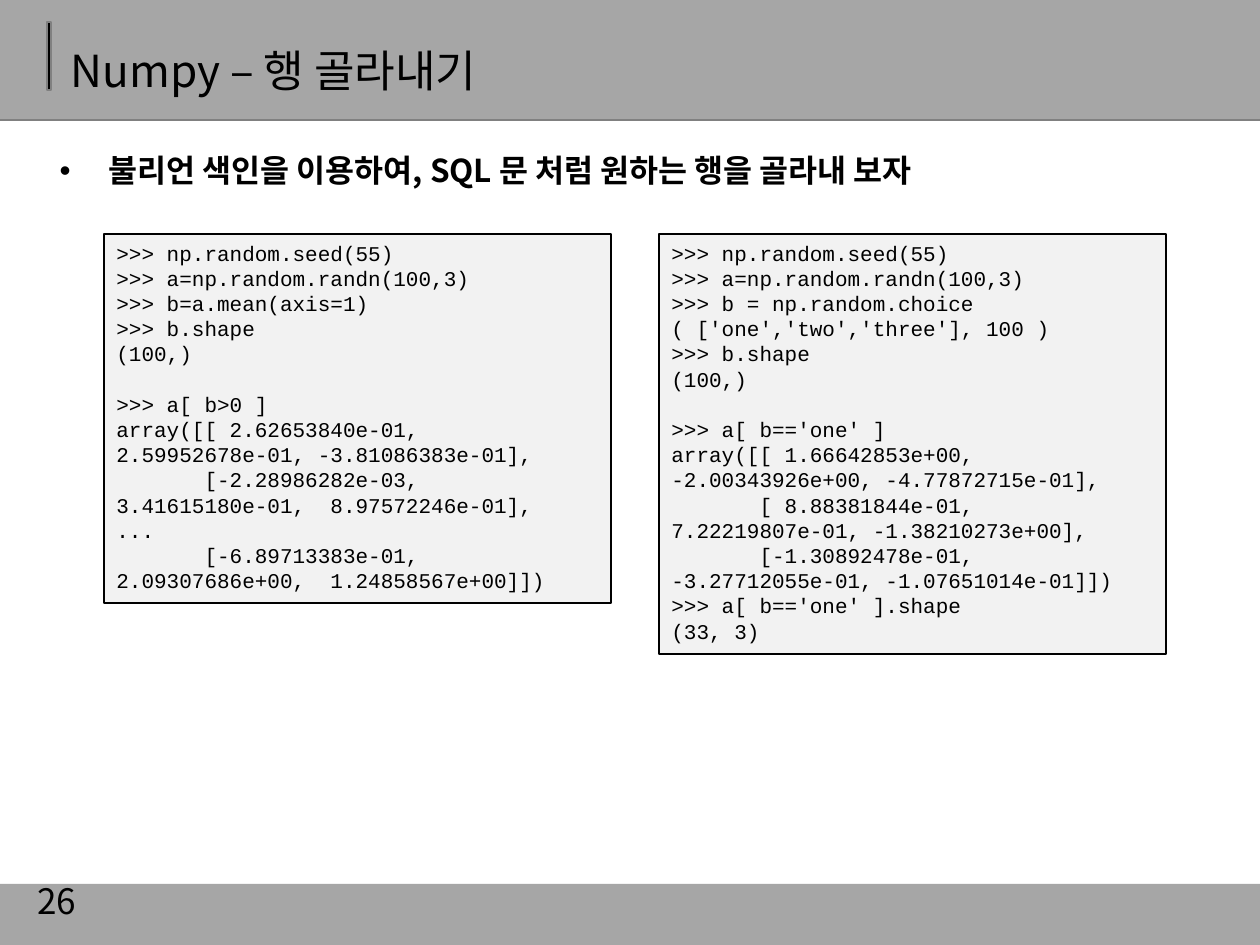
from lxml import etree
from pptx import Presentation
from pptx.dml.color import RGBColor
from pptx.enum.shapes import MSO_CONNECTOR, MSO_SHAPE
from pptx.enum.text import MSO_ANCHOR, MSO_AUTO_SIZE, PP_ALIGN
from pptx.oxml.ns import qn
from pptx.util import Emu, Pt

RECTANGLE = MSO_SHAPE.RECTANGLE
STRAIGHT = MSO_CONNECTOR.STRAIGHT
TOP, MIDDLE = MSO_ANCHOR.TOP, MSO_ANCHOR.MIDDLE
NO_AUTOFIT = MSO_AUTO_SIZE.NONE
LEFT = PP_ALIGN.LEFT

BLACK = RGBColor(0x00, 0x00, 0x00)
BAND_GRAY = RGBColor(0xA6, 0xA6, 0xA6)
RULE_GRAY = RGBColor(0x80, 0x80, 0x80)
CODE_GRAY = RGBColor(0xF2, 0xF2, 0xF2)

SANS, MONO = "Noto Sans CJK KR", "Courier New"
EMU_PER_PX = 914400 / 126
PAGE_WIDTH, PAGE_HEIGHT = 1260, 945
CODE_LINE = 14.4

MEAN_CODE = """>>> np.random.seed(55)
>>> a=np.random.randn(100,3)
>>> b=a.mean(axis=1)
>>> b.shape
(100,)

>>> a[ b>0 ]
array([[ 2.62653840e-01,  2.59952678e-01, -3.81086383e-01],
       [-2.28986282e-03,  3.41615180e-01,  8.97572246e-01],
...
       [-6.89713383e-01,  2.09307686e+00,  1.24858567e+00]])"""

CHOICE_CODE = """>>> np.random.seed(55)
>>> a=np.random.randn(100,3)
>>> b = np.random.choice ( ['one','two','three'], 100 )
>>> b.shape
(100,)

>>> a[ b=='one' ]
array([[ 1.66642853e+00, -2.00343926e+00, -4.77872715e-01],
       [ 8.88381844e-01,  7.22219807e-01, -1.38210273e+00],
       [-1.30892478e-01, -3.27712055e-01, -1.07651014e-01]])
>>> a[ b=='one' ].shape
(33, 3)"""


def px(length):
    return Emu(round(length * EMU_PER_PX))


def write(frame, text, *, size, font=SANS, bold=False, anchor=TOP,
          line_spacing=1.0, hanging=0):
    """Fill a frame line by line; an empty line becomes space before the next."""
    frame.word_wrap = True
    frame.auto_size = NO_AUTOFIT
    frame.vertical_anchor = anchor
    paragraph, gap = frame.paragraphs[0], 0
    for number, line in enumerate(text.split("\n")):
        if not line:
            gap += CODE_LINE
            continue
        if number:
            paragraph = frame.add_paragraph()
        paragraph.alignment = LEFT
        paragraph.line_spacing = line_spacing
        paragraph.space_before = Pt(gap)
        gap = 0
        if hanging:
            properties = paragraph._p.get_or_add_pPr()
            properties.set("marL", str(px(hanging)))
            properties.set("indent", str(-px(hanging)))
            etree.SubElement(properties, qn("a:buChar")).set("char", "•")
        run = paragraph.add_run()
        run.text = line
        run.font.size = Pt(size)
        run.font.bold = bold
        run.font.color.rgb = BLACK
        run.font.name = font
        east_asian = etree.SubElement(run.font._element, qn("a:ea"))
        east_asian.set("typeface", font)


class SlideBuilder:
    def __init__(self, presentation):
        self.slide = presentation.slides.add_slide(presentation.slide_layouts[1])
        self.shapes = self.slide.shapes

    def rectangle(self, left, top, width, height, fill, line=None):
        box = self.shapes.add_shape(
            RECTANGLE, px(left), px(top), px(width), px(height))
        box.shadow.inherit = False
        box.fill.solid()
        box.fill.fore_color.rgb = fill
        if line is None:
            box.line.fill.background()
        else:
            box.line.color.rgb = line
            box.line.width = Pt(0.75)
        return box

    def rule(self, top):
        line = self.shapes.add_connector(
            STRAIGHT, px(0), px(top), px(PAGE_WIDTH), px(top))
        line.line.color.rgb = RULE_GRAY
        line.line.width = Pt(0.75)
        etree.SubElement(line._element.spPr, qn("a:effectLst"))

    def placeholder(self, index, left, top, width, height, text, **style):
        """Move a template placeholder in front of the bands and fill it."""
        holder = self.slide.placeholders[index]
        holder.left, holder.top = px(left), px(top)
        holder.width, holder.height = px(width), px(height)
        self.shapes._spTree.append(holder._element)
        write(holder.text_frame, text, **style)

    def code(self, left, top, width, height, text):
        box = self.rectangle(left, top, width, height, CODE_GRAY, BLACK)
        write(box.text_frame, text, size=12, font=MONO)

    def label(self, left, top, width, height, text, **style):
        box = self.shapes.add_textbox(px(left), px(top), px(width), px(height))
        write(box.text_frame, text, **style)


def main():
    presentation = Presentation()
    presentation.slide_width = px(PAGE_WIDTH)
    presentation.slide_height = px(PAGE_HEIGHT)
    page = SlideBuilder(presentation)

    page.rectangle(0, -1, PAGE_WIDTH, 120, BAND_GRAY)
    page.rule(120)
    page.rectangle(47, 22, 4, 68, BLACK, RULE_GRAY)
    page.rectangle(0, 884, PAGE_WIDTH, 61, BAND_GRAY)

    page.placeholder(1, 47, 145, 1169, 287,
                     "불리언 색인을 이용하여, SQL 문 처럼 원하는 행을 골라내 보자",
                     size=18, bold=True, hanging=49)
    page.placeholder(0, 58, 18, 1086, 78, "Numpy – 행 골라내기",
                     size=25.2, anchor=MIDDLE, line_spacing=1.5)
    page.code(104, 234, 507, 369, MEAN_CODE)
    page.code(659, 234, 507, 420, CHOICE_CODE)
    page.label(25, 876, 294, 50, "26", size=20, anchor=MIDDLE)
    presentation.save("out.pptx")


if __name__ == "__main__":
    main()
